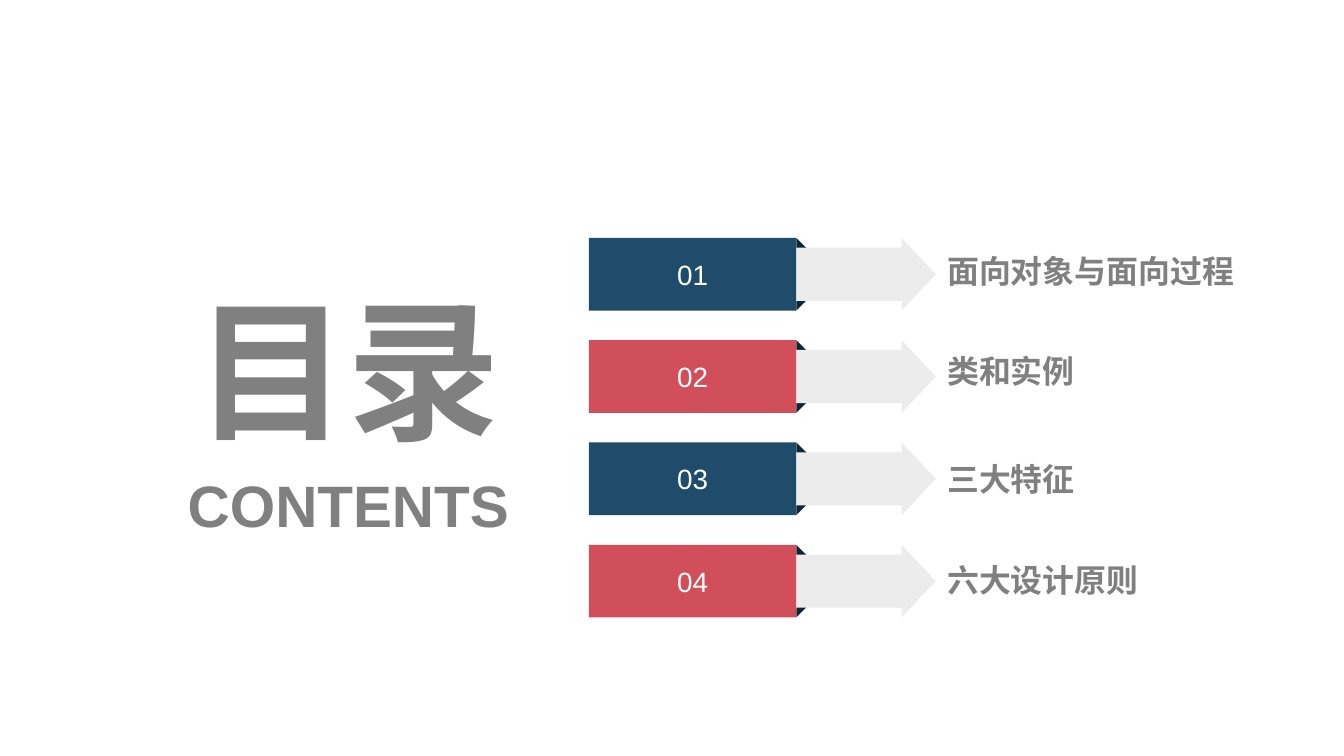
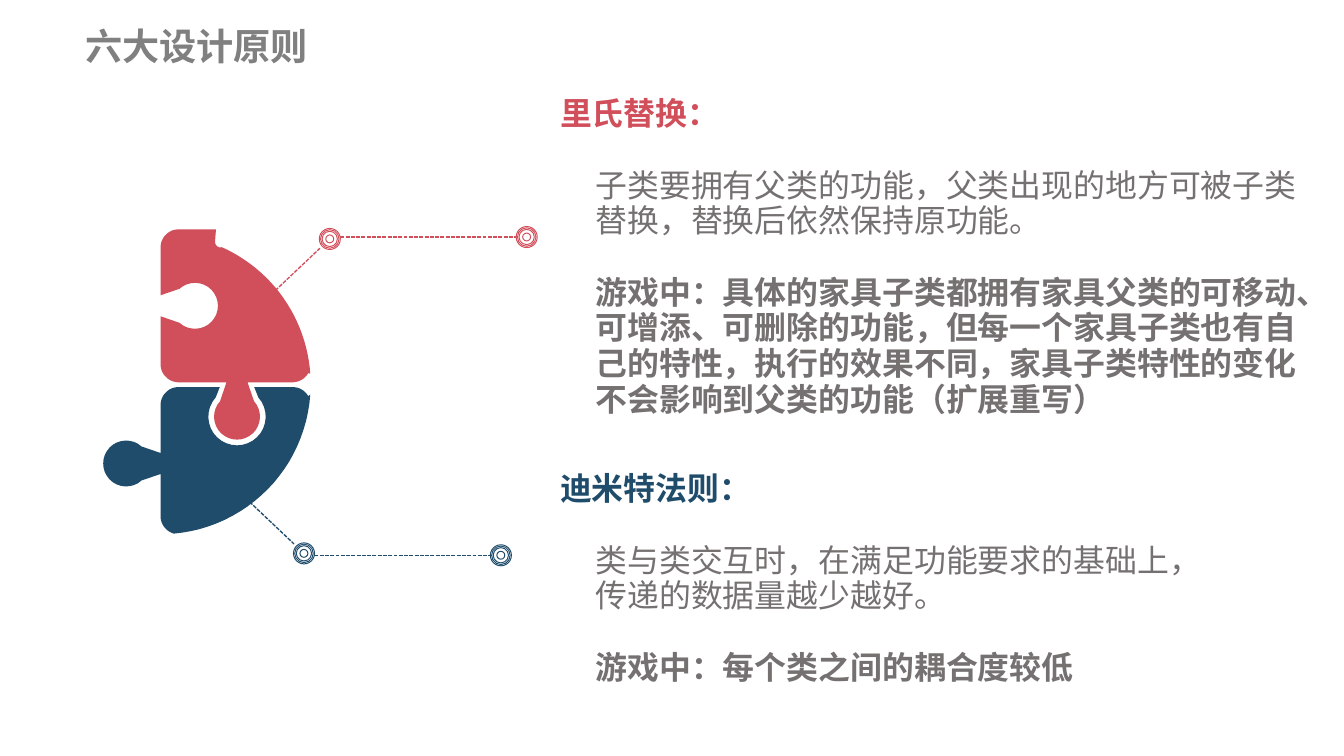
from math import cos, hypot, radians, sin

from lxml.etree import SubElement
from pptx import Presentation
from pptx.dml.color import RGBColor
from pptx.enum.dml import MSO_LINE
from pptx.enum.shapes import MSO_CONNECTOR, MSO_SHAPE
from pptx.enum.text import MSO_ANCHOR, MSO_AUTO_SIZE, PP_ALIGN
from pptx.oxml.ns import qn
from pptx.util import Inches, Pt

NAVY = RGBColor(0x1F, 0x4C, 0x6B)
RED = RGBColor(0xD1, 0x4E, 0x5B)
FOLD = RGBColor(0x10, 0x26, 0x35)
PALE = RGBColor(0xEC, 0xEC, 0xEC)
GREY = RGBColor(0x80, 0x80, 0x80)
BODY = RGBColor(0x76, 0x71, 0x71)
WHITE = RGBColor(0xFF, 0xFF, 0xFF)
LATIN, CJK = "Arial", "Noto Sans CJK SC"
WIDTH, HEIGHT = 14.06, 7.91

# Content: agenda entries with the top of each label
AGENDA = [
    ("01", "面向对象与面向过程", 2.63, NAVY),
    ("02", "类和实例", 3.68, RED),
    ("03", "三大特征", 4.81, NAVY),
    ("04", "六大设计原则", 5.87, RED),
]

# Content: principles, with text box and the bends of the pointer line
PRINCIPLES = [
    dict(
        color=RED, box=(5.76, 0.97, 8.12, 3.44), heading="里氏替换：",
        rule="子类要拥有父类的功能，父类出现的地方可被子类替换，替换后依然保持原功能。",
        example="游戏中：具体的家具子类都拥有家具父类的可移动、可增添、可删除的功能，"
                "但每一个家具子类也有自己的特性，执行的效果不同，"
                "家具子类特性的变化不会影响到父类的功能（扩展重写）",
        edge=(2.88, 3.04), elbow=(3.45, 2.5), end=(5.51, 2.48),
    ),
    dict(
        color=NAVY, box=(5.76, 4.89, 7.03, 2.33), heading="迪米特法则：",
        rule="类与类交互时，在满足功能要求的基础上，传递的数据量越少越好。",
        example="游戏中：每个类之间的耦合度较低",
        edge=(2.61, 5.25), elbow=(3.18, 5.79), end=(5.24, 5.81),
    ),
]

# Agenda grid
FIRST_ROW, ROW_PITCH, ROW_HEIGHT = 2.49, 1.07, 0.76
TAG_LEFT, TAG_WIDTH, FOLD_SIZE = 6.16, 2.17, 0.12
ARROW_LEFT, ARROW_WIDTH, LABEL_LEFT = 7.36, 2.43, 9.91

# Puzzle: two quarters of a disc around one hub, split by a narrow gap
HUB, DISC_RADIUS, CORNER = (1.68, 4.02), 1.57, 0.19
PUZZLE_LEFT, PUZZLE_TOP = HUB[0], 2.4
RED_BOTTOM, NAVY_TOP = 4.0, 4.05
JOINT_X, RED_HOLE_Y, NAVY_KNOB_Y = 2.48, 3.2, 4.85
KNOB = dict(half_neck=0.11, reach=0.36, radius=0.24)
LOOSE_HOLE = dict(half_neck=0.18, reach=0.31, radius=0.3)
NECK_TURN = 132  # degrees from the tip of a knob to its neck

TARGET_RINGS = ((0.16, 0.24), (0.22, 0.06))  # diameter, share of thickness


# Text and placement shared by both slides
def box(left, top, width, height):
    return [Inches(v) for v in (left, top, width, height)]


def place(holder, area):
    holder.left, holder.top, holder.width, holder.height = box(*area)
    return holder


def style(paragraph, size, color, bold=False, font=LATIN, align=PP_ALIGN.LEFT):
    paragraph.alignment = align
    paragraph.font.size, paragraph.font.bold = Pt(size), bold
    paragraph.font.name, paragraph.font.color.rgb = font, color


def set_frame(holder, anchor=MSO_ANCHOR.MIDDLE, inset_x=0, inset_y=0):
    frame = holder.text_frame
    frame.word_wrap, frame.auto_size = True, MSO_AUTO_SIZE.NONE
    frame.vertical_anchor = anchor
    frame.margin_left = frame.margin_right = Inches(inset_x)
    frame.margin_top = frame.margin_bottom = Inches(inset_y)
    return frame


def write(holder, text, size, color=GREY, bold=True, align=PP_ALIGN.LEFT):
    frame = set_frame(holder)
    frame.text = text
    style(frame.paragraphs[0], size, color, bold, align=align)


def paint(solid, color):
    solid.shadow.inherit = False
    solid.fill.solid()
    solid.fill.fore_color.rgb = color
    solid.line.fill.background()
    return solid


def add_solid(slide, preset, area, color):
    return paint(slide.shapes.add_shape(preset, *box(*area)), color)


# Puzzle outlines: angles in degrees, clockwise from the right
def arc(center, radius, start, end, steps=24):
    angles = [radians(start + (end - start) * i / steps) for i in range(steps + 1)]
    return [(center[0] + radius * cos(a), center[1] + radius * sin(a)) for a in angles]


def tab(base, facing, half_neck, reach, radius):
    """A round head on a neck, crossing the edge at base."""
    ux, uy = cos(radians(facing)), sin(radians(facing))
    head = arc((base[0] + reach * ux, base[1] + reach * uy), radius,
               facing - NECK_TURN, facing + NECK_TURN)
    start, end = [(base[0] - side * uy, base[1] + side * ux)
                  for side in (-half_neck, half_neck)]
    return [start, *head, end]


def hole(base, facing, size):
    return tab(base, facing, **size)


def knob(base, facing, size):
    # A knob leaves the piece, so its outline runs the other way
    return tab(base, facing, **size)[::-1]


def red_outline():
    inner_left = PUZZLE_LEFT + CORNER
    right_corner = HUB[0] + DISC_RADIUS - CORNER
    return [
        *arc(HUB, DISC_RADIUS, -4, -66),
        *arc((2.31, 2.53), 0.06, 90, 180), (2.26, PUZZLE_TOP),
        *arc((inner_left, PUZZLE_TOP + CORNER), CORNER, -90, -180),
        *hole((PUZZLE_LEFT, RED_HOLE_Y), 0, KNOB),
        *arc((inner_left, RED_BOTTOM - CORNER), CORNER, 180, 90),
        *knob((JOINT_X, RED_BOTTOM), 90, KNOB),
        *arc((right_corner, RED_BOTTOM - CORNER), CORNER, 90, 30),
    ]


def navy_outline():
    inner_left = PUZZLE_LEFT + CORNER
    right_corner = HUB[0] + DISC_RADIUS - CORNER
    disc_bottom = HUB[1] + DISC_RADIUS
    return [
        *arc((right_corner, NAVY_TOP + CORNER), CORNER, -30, -90),
        *hole((JOINT_X, NAVY_TOP), 90, LOOSE_HOLE),
        *arc((inner_left, NAVY_TOP + CORNER), CORNER, -90, -180),
        *knob((PUZZLE_LEFT, NAVY_KNOB_Y), 180, KNOB),
        *arc((inner_left, disc_bottom - CORNER), CORNER, 180, 115),
        *arc(HUB, DISC_RADIUS, 85, 4),
    ]


def add_piece(slide, outline, color):
    units = 1000  # per inch
    first, *rest = [(units * x, units * y) for x, y in outline]
    builder = slide.shapes.build_freeform(*first, scale=Inches(1) / units)
    builder.add_line_segments(rest, close=True)
    paint(builder.convert_to_shape(), color)


# Pointer lines that end in targets
def add_dashes(slide, start, end, color):
    dashes = slide.shapes.add_connector(
        MSO_CONNECTOR.STRAIGHT, *[Inches(v) for v in (*start, *end)])
    dashes.line.color.rgb, dashes.line.width = color, Pt(1)
    dashes.line.dash_style = MSO_LINE.SQUARE_DOT
    SubElement(dashes._element.spPr, qn("a:effectLst"))


def add_target(slide, center, color):
    for size, thickness in TARGET_RINGS:
        ring = slide.shapes.add_shape(MSO_SHAPE.DONUT, *box(
            center[0] - size / 2, center[1] - size / 2, size, size))
        ring.adjustments[0] = thickness
        ring.shadow.inherit = False
        ring.fill.background()
        ring.line.color.rgb, ring.line.width = color, Pt(0.75)


def add_pointer(slide, edge, elbow, end, color):
    # The dashes stop at the rim of each target
    rim = TARGET_RINGS[-1][0] / 2
    dx, dy = elbow[0] - edge[0], elbow[1] - edge[1]
    share = 1 - 1.3 * rim / hypot(dx, dy)
    add_dashes(slide, edge, (edge[0] + share * dx, edge[1] + share * dy), color)
    add_dashes(slide, (elbow[0] + rim, end[1]), (end[0] - rim, end[1]), color)
    for center in (elbow, end):
        add_target(slide, center, color)


def write_principle(holder, principle):
    frame = set_frame(place(holder, principle["box"]), MSO_ANCHOR.TOP, 0.1, 0.05)
    hanging = 0.37
    parts = [(principle["heading"], principle["color"], True, -hanging),
             (principle["rule"], BODY, False, 0),
             (principle["example"], BODY, True, 0)]
    for i, (text, color, bold, indent) in enumerate(parts):
        paragraph = frame.add_paragraph() if i else frame.paragraphs[0]
        paragraph.text = text
        style(paragraph, 24, color, bold, CJK)
        paragraph.line_spacing = 0.93
        paragraph.space_before = Pt(27 if i else 0)
        props = paragraph._p.get_or_add_pPr()
        props.set("marL", str(Inches(hanging)))
        props.set("indent", str(Inches(indent)))
        props.insert_element_before(
            props.makeelement(qn("a:buNone"), {}), "a:tabLst", "a:defRPr", "a:extLst")


def add_agenda_row(slide, row, number, topic, label_top, color):
    top, tag_right = FIRST_ROW + row * ROW_PITCH, TAG_LEFT + TAG_WIDTH
    for fold_top, turn in ((top, 0), (top + ROW_HEIGHT - FOLD_SIZE, 90)):
        fold = add_solid(slide, MSO_SHAPE.RIGHT_TRIANGLE,
                         (tag_right, fold_top, FOLD_SIZE, FOLD_SIZE), FOLD)
        fold.rotation = turn
    arrow = add_solid(slide, MSO_SHAPE.RIGHT_ARROW,
                      (ARROW_LEFT, top, ARROW_WIDTH, ROW_HEIGHT), PALE)
    arrow.adjustments[0], arrow.adjustments[1] = 0.73, 0.47
    tag = add_solid(slide, MSO_SHAPE.RECTANGLE,
                    (TAG_LEFT, top, TAG_WIDTH, ROW_HEIGHT), color)
    write(tag, number, 21, WHITE, False, PP_ALIGN.CENTER)
    label = slide.shapes.add_textbox(*box(LABEL_LEFT, label_top, 3.5, 0.4))
    write(label, topic, 24)


deck = Presentation()
deck.slide_width, deck.slide_height = Inches(WIDTH), Inches(HEIGHT)
TITLE_AND_SUBTITLE, TITLE_AND_TWO_BODIES = deck.slide_layouts[0], deck.slide_layouts[3]

# Contents slide
contents = deck.slides.add_slide(TITLE_AND_SUBTITLE)
title, subtitle = contents.placeholders
write(place(title, (1.96, 2.88, 3.36, 1.92)), "目录", 115, align=PP_ALIGN.CENTER)
write(place(subtitle, (1.84, 4.91, 3.61, 0.73)), "CONTENTS", 44, align=PP_ALIGN.CENTER)
for row, entry in enumerate(AGENDA):
    add_agenda_row(contents, row, *entry)

# Principles slide
principles = deck.slides.add_slide(TITLE_AND_TWO_BODIES)
title, *bodies = principles.placeholders
write(place(title, (0.89, 0.24, 2.53, 0.47)), AGENDA[-1][1], 28)
for outline, body, principle in zip((red_outline(), navy_outline()), bodies, PRINCIPLES):
    add_piece(principles, outline, principle["color"])
    write_principle(body, principle)
    add_pointer(principles, principle["edge"], principle["elbow"],
                principle["end"], principle["color"])

deck.save("out.pptx")
